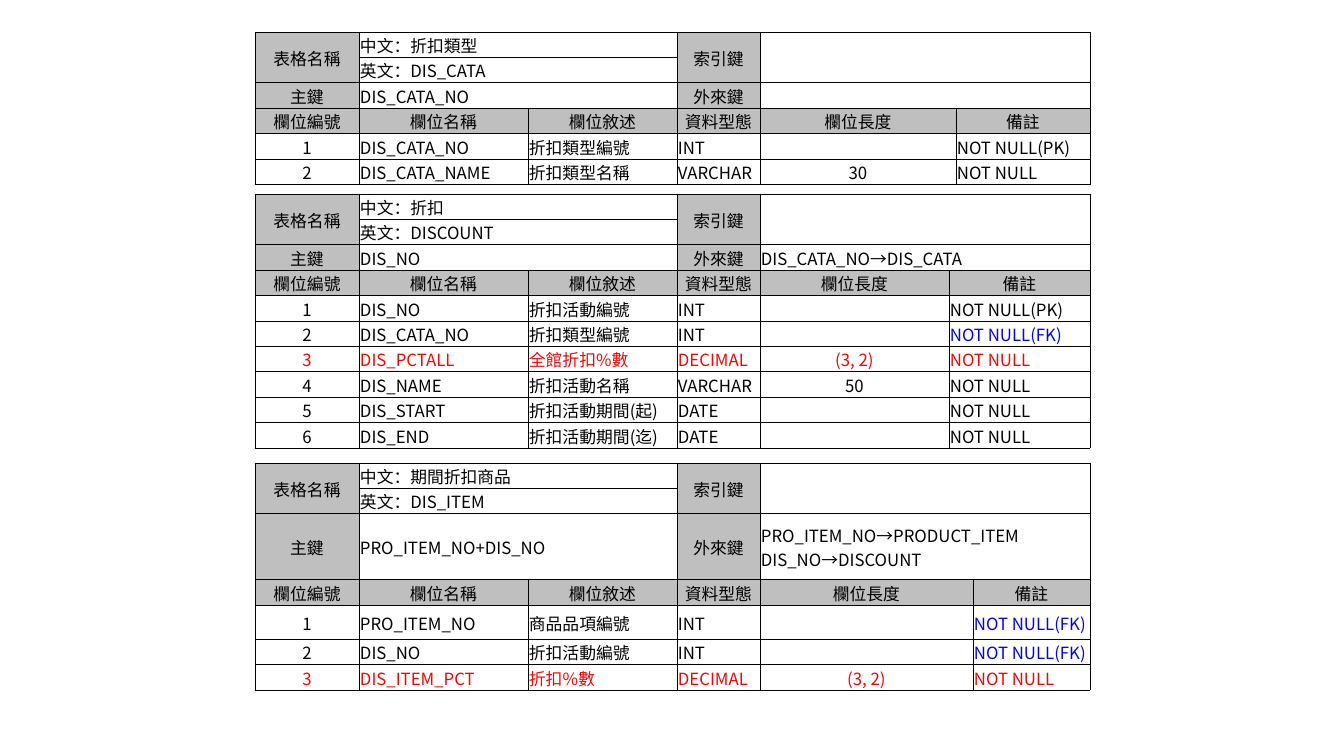
from lxml.etree import SubElement
from pptx import Presentation
from pptx.dml.color import RGBColor
from pptx.enum.text import MSO_ANCHOR, PP_ALIGN
from pptx.oxml.ns import qn
from pptx.util import Pt

PX = 914400 / 100.8
FONT = "Noto Sans CJK SC"
BLACK, GREY, RED, BLUE = "000000", "BFBFBF", "FF0000", "0000FF"
HEADS = ["欄位編號", "欄位名稱", "欄位敘述", "資料型態", "欄位長度", "備註"]
LEFT, WIDE = 255, 835
COLS = [104, 169, 149, 83]
PK, FK, NN = "NOT NULL(PK)", "NOT NULL(FK)", "NOT NULL"


def px(n):
    return round(n * PX)


def write(cell, text, ink=BLACK, fill=None, mid=False):
    cell.margin_left = cell.margin_right = cell.margin_top = px(1)
    cell.margin_bottom = 0
    cell.vertical_anchor = MSO_ANCHOR.MIDDLE
    # Borders go before the fill in the cell's XML
    props = cell._tc.get_or_add_tcPr()
    for side in ("lnL", "lnR", "lnT", "lnB"):
        line = SubElement(props, qn("a:" + side), w=str(Pt(0.5)))
        solid = SubElement(line, qn("a:solidFill"))
        SubElement(solid, qn("a:srgbClr"), val=BLACK)
    if fill:
        cell.fill.solid()
        cell.fill.fore_color.rgb = RGBColor.from_string(fill)
    else:
        cell.fill.background()
    para = cell.text_frame.paragraphs[0]
    para.alignment = PP_ALIGN.CENTER if mid else PP_ALIGN.LEFT
    for i, part in enumerate(text.split("\n") if text else []):
        if i:
            para.add_line_break()
        run = para.add_run()
        run.text = part
        run.font.size = Pt(12)
        run.font.name = FONT
        run.font.color.rgb = RGBColor.from_string(ink)
        SubElement(run._r.get_or_add_rPr(), qn("a:ea"), typeface=FONT)
    # Keeps empty cells from stretching their row
    SubElement(para._p, qn("a:endParaRPr"), sz="1200")


# Each table: top, length column, row heights, names, keys, fields
tables = [
    (32, 196, [22] * 6, "折扣類型", "DIS_CATA", "DIS_CATA_NO", "", [
        ("DIS_CATA_NO", "折扣類型編號", "INT", "", PK),
        ("DIS_CATA_NAME", "折扣類型名稱", "VARCHAR", "30", NN),
    ]),
    (194, 189, [22] * 10, "折扣", "DISCOUNT", "DIS_NO", "DIS_CATA_NO→DIS_CATA", [
        ("DIS_NO", "折扣活動編號", "INT", "", PK),
        ("DIS_CATA_NO", "折扣類型編號", "INT", "", FK),
        ("DIS_PCTALL", "全館折扣%數", "DECIMAL", "(3, 2)", NN),
        ("DIS_NAME", "折扣活動名稱", "VARCHAR", "50", NN),
        ("DIS_START", "折扣活動期間(起)", "DATE", "", NN),
        ("DIS_END", "折扣活動期間(迄)", "DATE", "", NN),
    ]),
    (463, 213, [23, 23, 66, 23, 34, 23, 23], "期間折扣商品", "DIS_ITEM",
     "PRO_ITEM_NO+DIS_NO", "PRO_ITEM_NO→PRODUCT_ITEM\nDIS_NO→DISCOUNT", [
        ("PRO_ITEM_NO", "商品品項編號", "INT", "", FK),
        ("DIS_NO", "折扣活動編號", "INT", "", FK),
        ("DIS_ITEM_PCT", "折扣%數", "DECIMAL", "(3, 2)", NN),
    ]),
]
# Merged blocks, shared by all tables: first cell, last cell
spans = [((0, 0), (1, 0)), ((0, 1), (0, 2)), ((1, 1), (1, 2)),
         ((0, 3), (1, 3)), ((0, 4), (1, 5)), ((2, 1), (2, 2)), ((2, 4), (2, 5))]

deck = Presentation()
deck.slide_width, deck.slide_height = px(1344), px(756)
slide = deck.slides.add_slide(deck.slide_layouts[6])

for top, size, highs, local, latin, main, other, fields in tables:
    grid = slide.shapes.add_table(len(highs), 6, px(LEFT), px(top),
                                  px(WIDE), px(sum(highs))).table
    grid.first_row = grid.horz_banding = False
    wides = COLS + [size, WIDE - sum(COLS) - size]
    for col, wide in zip(grid.columns, wides):
        col.width = px(wide)
    for row, high in zip(grid.rows, highs):
        row.height = px(high)

    # Heading rows, then one row per field
    rows = [
        ["表格名稱", "中文：" + local, "", "索引鍵", "", ""],
        ["", "英文：" + latin, "", "", "", ""],
        ["主鍵", main, "", "外來鍵", other, ""],
        HEADS,
    ]
    rows += [(str(n), *field) for n, field in enumerate(fields, 1)]
    for r, row in enumerate(rows):
        for c, text in enumerate(row):
            head = r == 3 or (r < 3 and c in (0, 3))
            ink = BLUE if text == FK else RED if "DECIMAL" in row else BLACK
            write(grid.cell(r, c), text, ink, GREY if head else None,
                  head or (r > 3 and c in (0, 4)))
    grid.cell(0, 1).vertical_anchor = MSO_ANCHOR.TOP
    for first, last in spans:
        grid.cell(*first).merge(grid.cell(*last))

deck.save("out.pptx")
